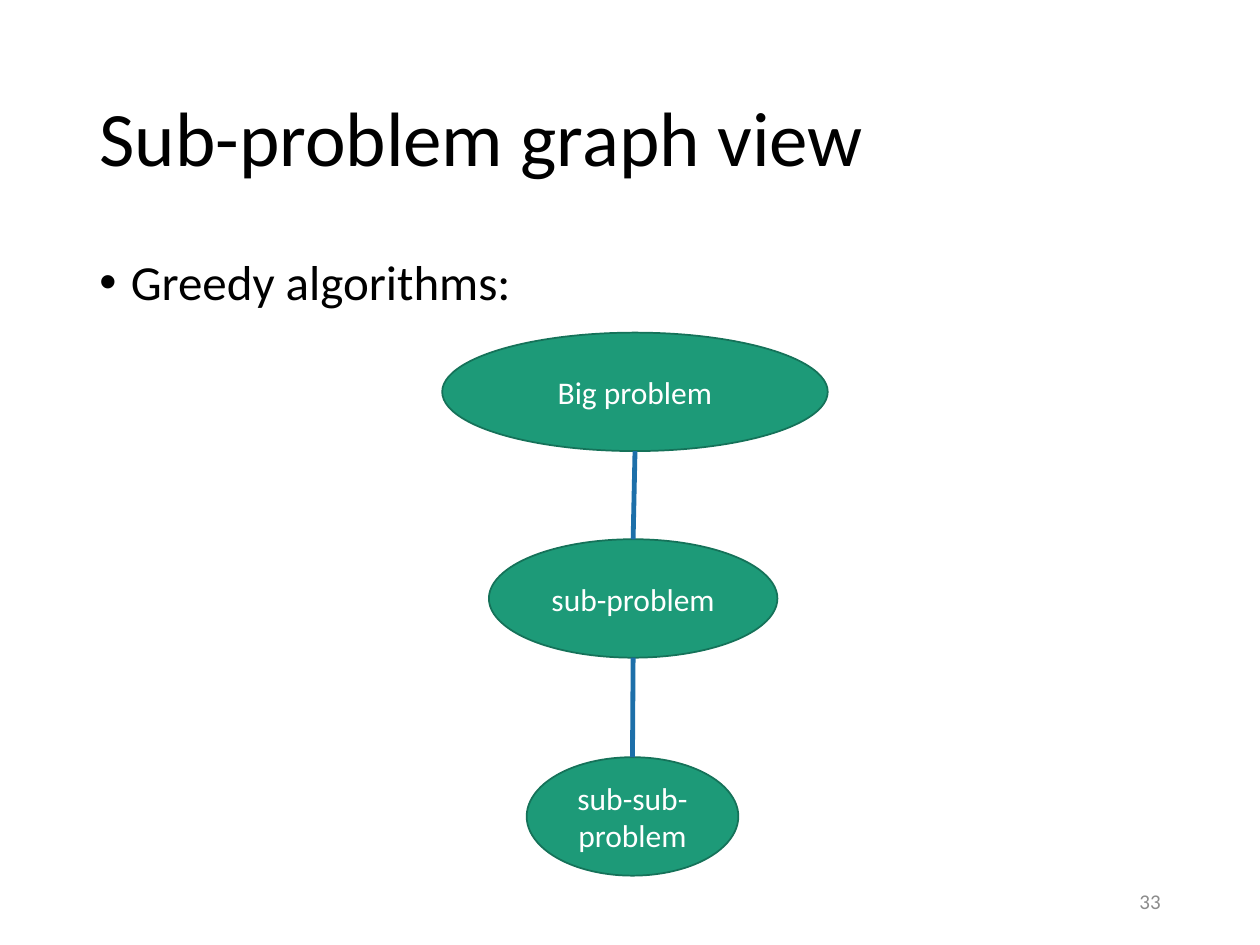
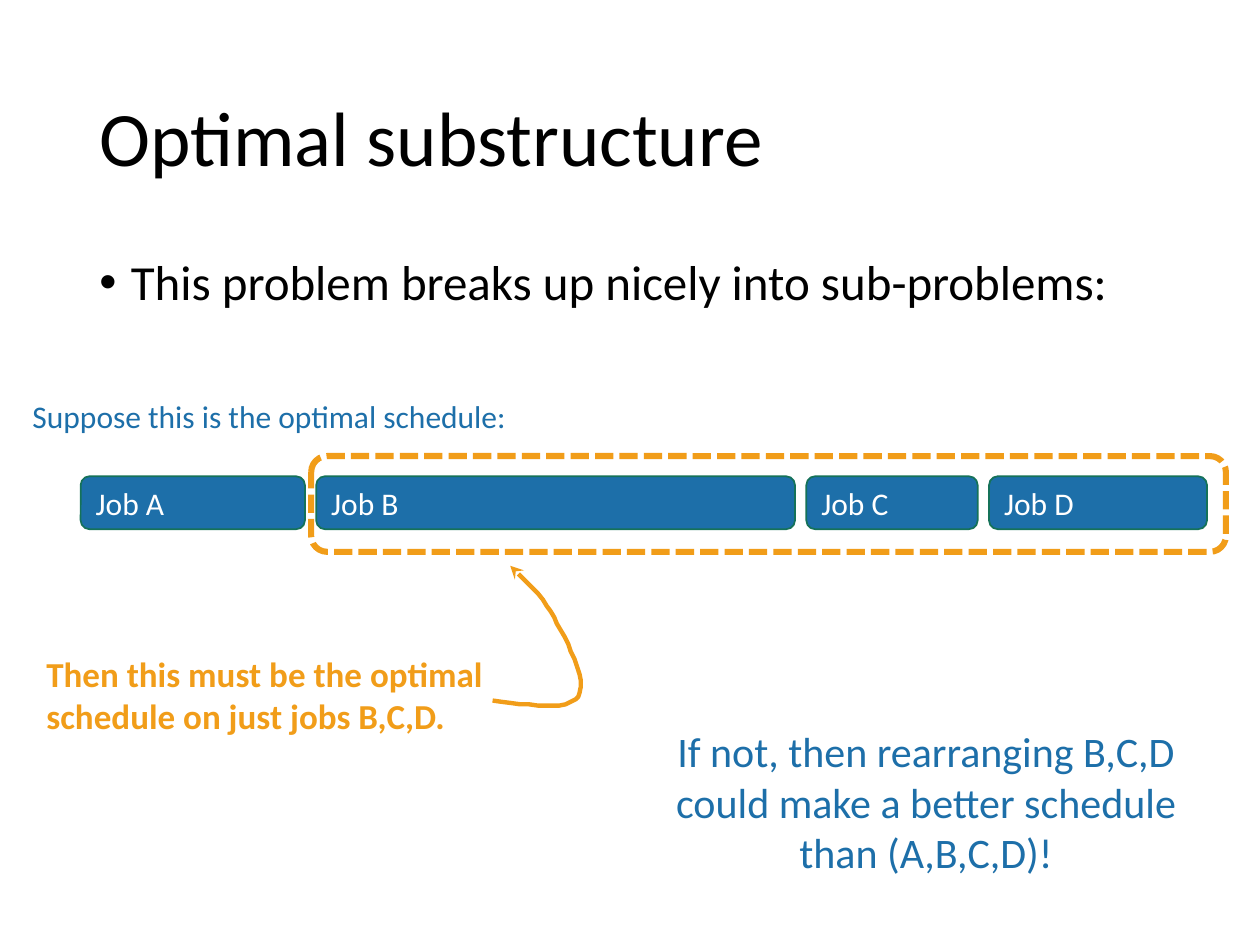
from lxml import etree
from pptx import Presentation
from pptx.dml.color import RGBColor
from pptx.enum.dml import MSO_LINE
from pptx.enum.shapes import MSO_CONNECTOR, MSO_SHAPE
from pptx.enum.text import MSO_ANCHOR, PP_ALIGN
from pptx.oxml.ns import qn
from pptx.util import Pt

PX = 9144  # 100 px to the inch
FONT = "Calibri"
BLACK = RGBColor(0x00, 0x00, 0x00)
WHITE = RGBColor(0xFF, 0xFF, 0xFF)
GRAY = RGBColor(0x8C, 0x8C, 0x8C)
GREEN = RGBColor(0x1D, 0x9A, 0x78)
DARK_GREEN = RGBColor(0x15, 0x72, 0x59)
BLUE = RGBColor(0x1D, 0x6F, 0xA9)
ORANGE = RGBColor(0xF1, 0x9D, 0x19)

LEFT, CENTER, RIGHT = PP_ALIGN.LEFT, PP_ALIGN.CENTER, PP_ALIGN.RIGHT
TOP, MIDDLE = MSO_ANCHOR.TOP, MSO_ANCHOR.MIDDLE
OVAL, ROUNDED = MSO_SHAPE.OVAL, MSO_SHAPE.ROUNDED_RECTANGLE
STRAIGHT = MSO_CONNECTOR.STRAIGHT
SHORT_DASH = MSO_LINE.SQUARE_DOT


def emu(*lengths):
    return [round(length * PX) for length in lengths]


def write(shape, text, size=18, color=BLACK, bold=False, align=LEFT,
          anchor=TOP, line_spacing=None, bullet=False):
    frame = shape.text_frame
    frame.word_wrap = True
    frame.vertical_anchor = anchor
    paragraph = frame.paragraphs[0]
    if bullet:
        indent = emu(25)[0]
        properties = paragraph._p.get_or_add_pPr()
        properties.set("marL", str(indent))
        properties.set("indent", str(-indent))
        etree.SubElement(properties, qn("a:buFont"), typeface="Arial")
        etree.SubElement(properties, qn("a:buChar"), char="•")
    paragraph.alignment = align
    if line_spacing:
        paragraph.line_spacing = line_spacing
    run = paragraph.add_run()
    run.text = text
    run.font.name = FONT
    run.font.size = Pt(size)
    run.font.bold = bold
    run.font.color.rgb = color


def add_text(slide, box, text, **style):
    write(slide.shapes.add_textbox(*emu(*box)), text, **style)


def style_line(shape, color, width):
    shape.line.color.rgb = color
    shape.line.width = Pt(width)


def add_node(slide, preset, box, fill, text, align):
    node = slide.shapes.add_shape(preset, *emu(*box))
    node.shadow.inherit = False
    node.fill.solid()
    node.fill.fore_color.rgb = fill
    style_line(node, DARK_GREEN, 1)
    write(node, text, color=WHITE, align=align, anchor=MIDDLE)
    return node


def link_down(slide, parent, child):
    """Join the bottom of the parent to the top of the child."""
    start = parent.left + parent.width // 2, parent.top + parent.height
    link = slide.shapes.add_connector(STRAIGHT, *start, *start)
    link.end_connect(child, 0)
    style_line(link, BLUE, 2.75)
    etree.SubElement(link.element.spPr, qn("a:effectLst"))


def add_dashed_frame(slide, box):
    frame = slide.shapes.add_shape(ROUNDED, *emu(*box))
    frame.shadow.inherit = False
    frame.fill.background()
    style_line(frame, ORANGE, 3.5)
    frame.line.dash_style = SHORT_DASH


def bezier_points(controls, steps=12):
    """Points along one cubic curve, without its start."""
    for step in range(1, steps + 1):
        t = step / steps
        weights = (1 - t) ** 3, 3 * t * (1 - t) ** 2, 3 * t * t * (1 - t), t ** 3
        yield tuple(sum(w * point[axis] for w, point in zip(weights, controls))
                    for axis in (0, 1))


def add_curved_arrow(slide, controls):
    """Draw chained cubic curves that share their end points."""
    points = [point for i in range(0, len(controls) - 1, 3)
              for point in bezier_points(controls[i:i + 4])]
    builder = slide.shapes.build_freeform(*controls[0], scale=PX)
    builder.add_line_segments(points, close=False)
    arrow = builder.convert_to_shape()
    arrow.shadow.inherit = False
    arrow.fill.background()
    style_line(arrow, ORANGE, 2.5)
    etree.SubElement(arrow.element.spPr.find(qn("a:ln")), qn("a:tailEnd"),
                     type="stealth")


def add_slide(deck, title, topic):
    slide = deck.slides.add_slide(deck.slide_layouts[6])
    add_text(slide, (69, 40, 862, 145), title, size=44, anchor=MIDDLE,
             line_spacing=0.9)
    add_text(slide, (69, 200, 862, 476), topic, size=28, line_spacing=0.9,
             bullet=True)
    return slide


def build_graph_view(deck):
    slide = add_slide(deck, "Sub-problem graph view", "Greedy algorithms:")
    problems = [
        ("Big problem", 351, 264, 306),
        ("sub-problem", 388, 428, 229),
        ("sub-sub-problem", 418, 601, 168),
    ]
    nodes = [add_node(slide, OVAL, (left, top, width, 94), GREEN, name, CENTER)
             for name, left, top, width in problems]
    for parent, child in zip(nodes, nodes[1:]):
        link_down(slide, parent, child)
    add_text(slide, (706, 695, 225, 40), "33", size=12, color=GRAY,
             align=RIGHT, anchor=MIDDLE)


def build_substructure(deck):
    slide = add_slide(deck, "Optimal substructure",
                      "This problem breaks up nicely into sub-problems:")
    left, gap = 64, 9
    for job, duration in zip("ABCD", (178, 380, 136, 173)):
        add_node(slide, ROUNDED, (left, 378, duration, 42), BLUE,
                 f"Job {job}", LEFT)
        left += duration + gap
    add_dashed_frame(slide, (247, 362, 726, 76))
    add_text(slide, (16, 310, 463, 40),
             "Suppose this is the optimal schedule:", color=BLUE)
    add_text(slide, (27, 513, 386, 77),
             "Then this must be the optimal schedule on just jobs B,C,D.",
             size=20, color=ORANGE, bold=True)
    add_curved_arrow(slide, [
        (391, 556), (421, 560), (451, 564), (459, 553), (467, 541),
        (449, 507), (440, 490), (431, 472), (405, 449), (405, 449)])
    add_text(slide, (525, 571, 420, 131),
             "If not, then rearranging B,C,D could make a better schedule "
             "than (A,B,C,D)!", size=24, color=BLUE, align=CENTER)


def main():
    deck = Presentation()
    deck.slide_width, deck.slide_height = emu(1000, 750)
    build_graph_view(deck)
    build_substructure(deck)
    deck.save("out.pptx")


if __name__ == "__main__":
    main()
